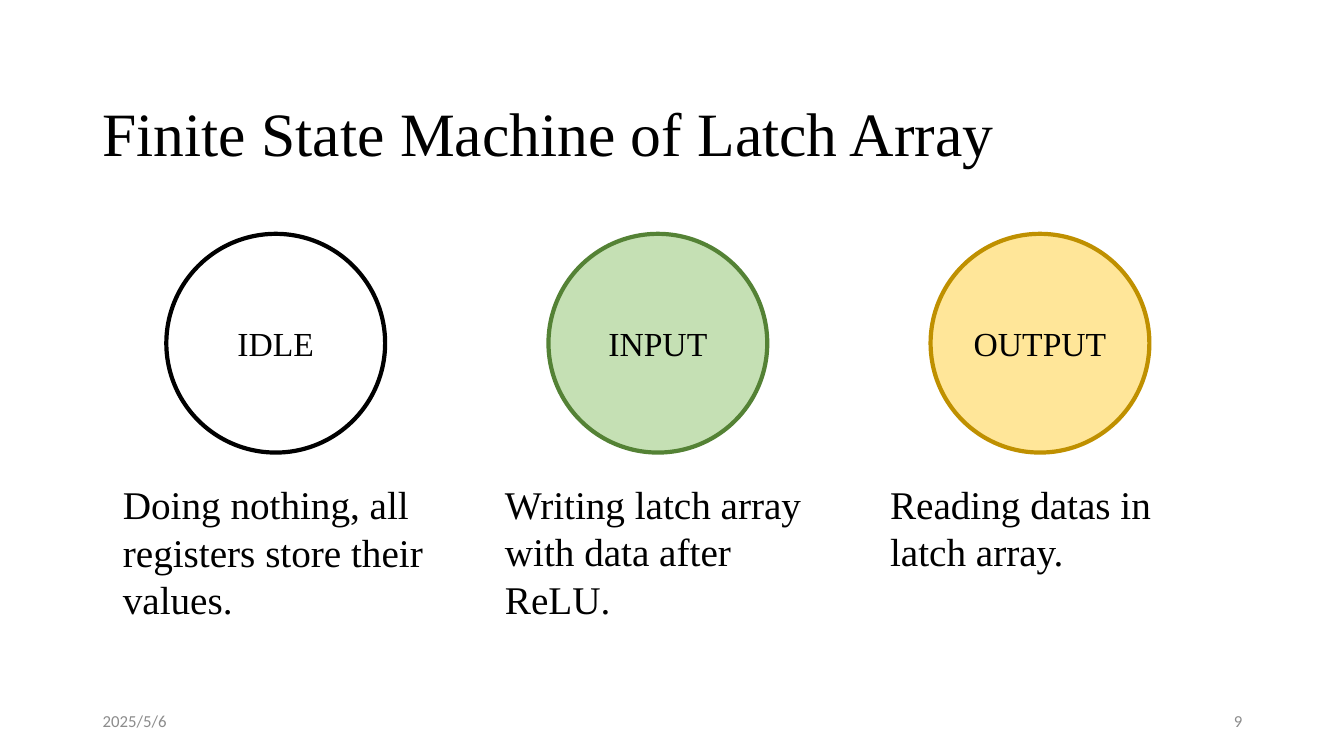
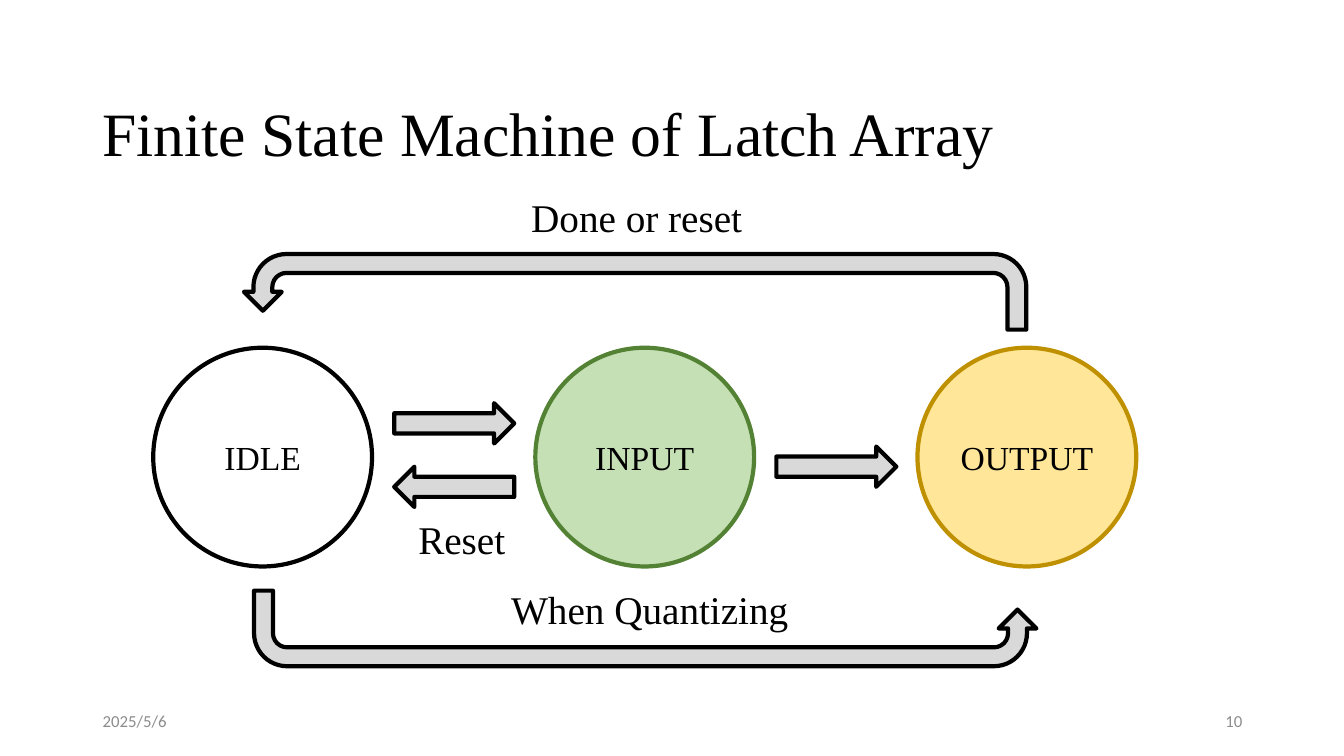
from pptx import Presentation
from pptx import util as u
from pptx.dml.color import RGBColor
from pptx.enum import shapes, text
from pptx.oxml.ns import qn

# Shared style
SERIF, SANS = "Times New Roman", "Calibri"
BLACK, GREY, ARROW_FILL = "000000", "8C8C8C", "D9D9D9"
TITLE = "Finite State Machine of Latch Array"
DATE = "2025/5/6"
STATES = [  # name, fill, outline
    ("IDLE", "FFFFFF", BLACK),
    ("INPUT", "C5E0B4", "548235"),
    ("OUTPUT", "FFE699", "BF9000"),
]
CIRCLE, STATE_PITCH = 2.17, 3.79
LEFT, CENTER, RIGHT = text.PP_ALIGN.LEFT, text.PP_ALIGN.CENTER, text.PP_ALIGN.RIGHT
TOP, MIDDLE = text.MSO_ANCHOR.TOP, text.MSO_ANCHOR.MIDDLE
PRESET = shapes.MSO_SHAPE


def color(value):
    return RGBColor.from_string(value)


def inches(box):
    return [u.Inches(length) for length in box]


def write(shape, words, size, font=SERIF, ink=BLACK, align=LEFT, anchor=TOP, spacing=None):
    frame = shape.text_frame
    frame.word_wrap = True
    frame.vertical_anchor = anchor
    paragraph = frame.paragraphs[0]
    paragraph.alignment = align
    if spacing:
        paragraph.line_spacing = spacing
    run = paragraph.add_run()
    run.text = words
    run.font.size = u.Pt(size)
    run.font.name = font
    run.font.color.rgb = color(ink)


def add_text(slide, box, words, size=28, **style):
    write(slide.shapes.add_textbox(*inches(box)), words, size, **style)


def add_outlined(slide, preset, box, fill, line):
    shape = slide.shapes.add_shape(preset, *inches(box))
    shape.shadow.inherit = False
    shape.fill.solid()
    shape.fill.fore_color.rgb = color(fill)
    shape.line.color.rgb = color(line)
    shape.line.width = u.Pt(3)
    return shape


def add_arrow(slide, preset, box, flip=None):
    arrow = add_outlined(slide, preset, box, ARROW_FILL, BLACK)
    if flip:
        arrow.element.spPr.find(qn("a:xfrm")).set(flip, "1")


def add_frame(presentation, number):
    """Blank slide with the title and the footer."""
    slide = presentation.slides.add_slide(presentation.slide_layouts[6])
    add_text(slide, (0.92, 0.4, 11.5, 1.45), TITLE, 44, anchor=MIDDLE, spacing=1.5)
    for left, words, align in ((0.92, DATE, LEFT), (9.42, str(number), RIGHT)):
        add_text(slide, (left, 6.95, 3, 0.4), words, 12,
                 font=SANS, ink=GREY, align=align, anchor=MIDDLE)
    return slide


def add_states(slide, left, top):
    """Row of three state circles."""
    for index, (name, fill, line) in enumerate(STATES):
        box = (left + index * STATE_PITCH, top, CIRCLE, CIRCLE)
        circle = add_outlined(slide, PRESET.OVAL, box, fill, line)
        write(circle, name, 24, align=CENTER, anchor=MIDDLE)


def add_description_slide(presentation, number):
    slide = add_frame(presentation, number)
    left, top = 1.65, 2.32
    add_states(slide, left, top)
    # What each state does: offset from the row, width, height, words
    descriptions = [
        (-0.53, 3.22, 1.51, "Doing nothing, all registers store their values."),
        (3.26, 3.56, 1.04, "Writing latch array with data after ReLU."),
        (7.08, 3.56, 1.04, "Reading datas in latch array."),
    ]
    for offset, width, height, words in descriptions:
        add_text(slide, (left + offset, top + 2.4, width, height), words)


def add_transition_slide(presentation, number):
    slide = add_frame(presentation, number)
    left, top = 1.52, 3.45
    add_states(slide, left, top)
    # Arrows between neighbouring states
    first_gap, second_gap = left + 2.39, left + 2.39 + STATE_PITCH
    for preset, x, offset in (
        (PRESET.RIGHT_ARROW, first_gap, 0.55),
        (PRESET.LEFT_ARROW, first_gap, 1.18),
        (PRESET.RIGHT_ARROW, second_gap, 0.98),
    ):
        add_arrow(slide, preset, (x, top + offset, 1.19, 0.4))
    # Arrows around the row
    for x, offset, flip in ((0.9, -0.93, "flipH"), (1, 2.41, "flipV")):
        add_arrow(slide, PRESET.U_TURN_ARROW, (left + x, top + offset, 7.76, 0.75), flip)
    # Transition labels
    for x, offset, width, words in (
        (3.45, 2.31, 3.02, "When Quantizing"),
        (3.65, -1.58, 2.44, "Done or reset"),
        (2.53, 1.61, 1.12, "Reset"),
    ):
        add_text(slide, (left + x, top + offset, width, 0.57), words)


def main():
    presentation = Presentation()
    presentation.slide_width = u.Inches(13.33)
    presentation.slide_height = u.Inches(7.5)
    add_description_slide(presentation, 9)
    add_transition_slide(presentation, 10)
    presentation.save("out.pptx")


if __name__ == "__main__":
    main()
